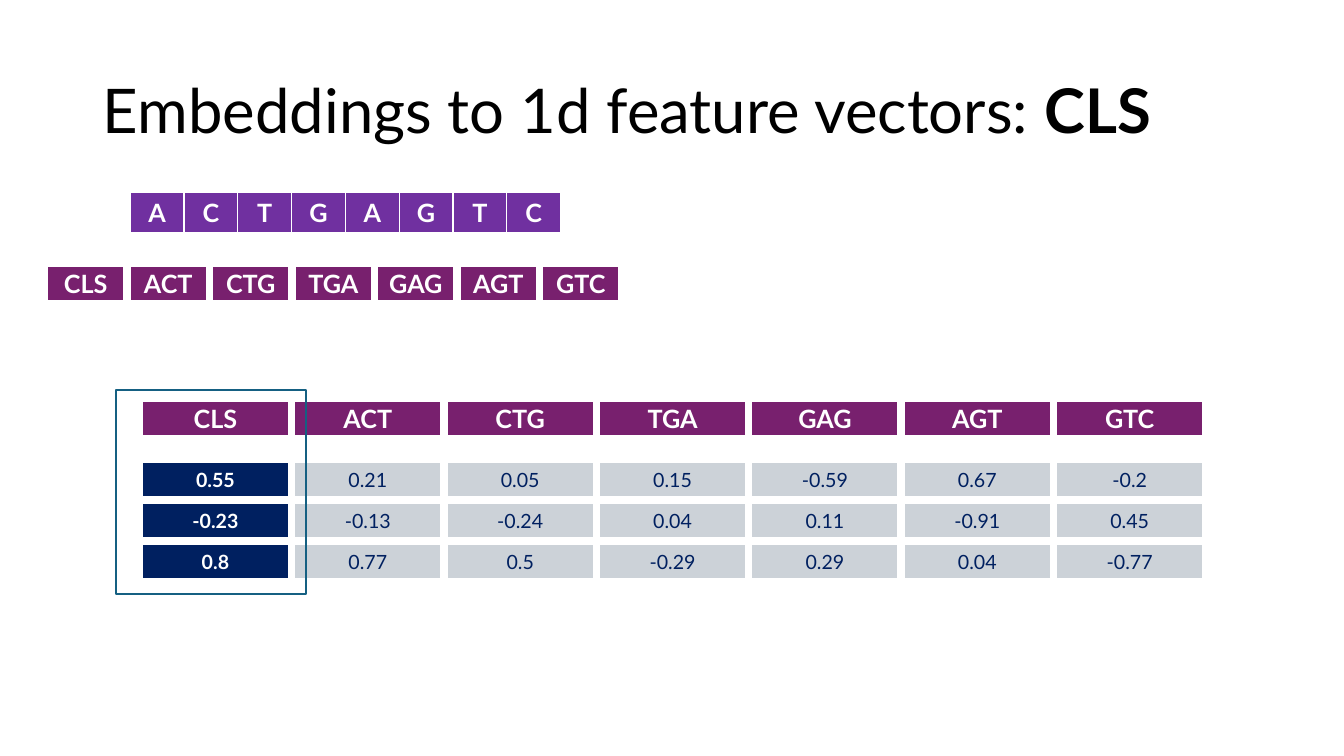
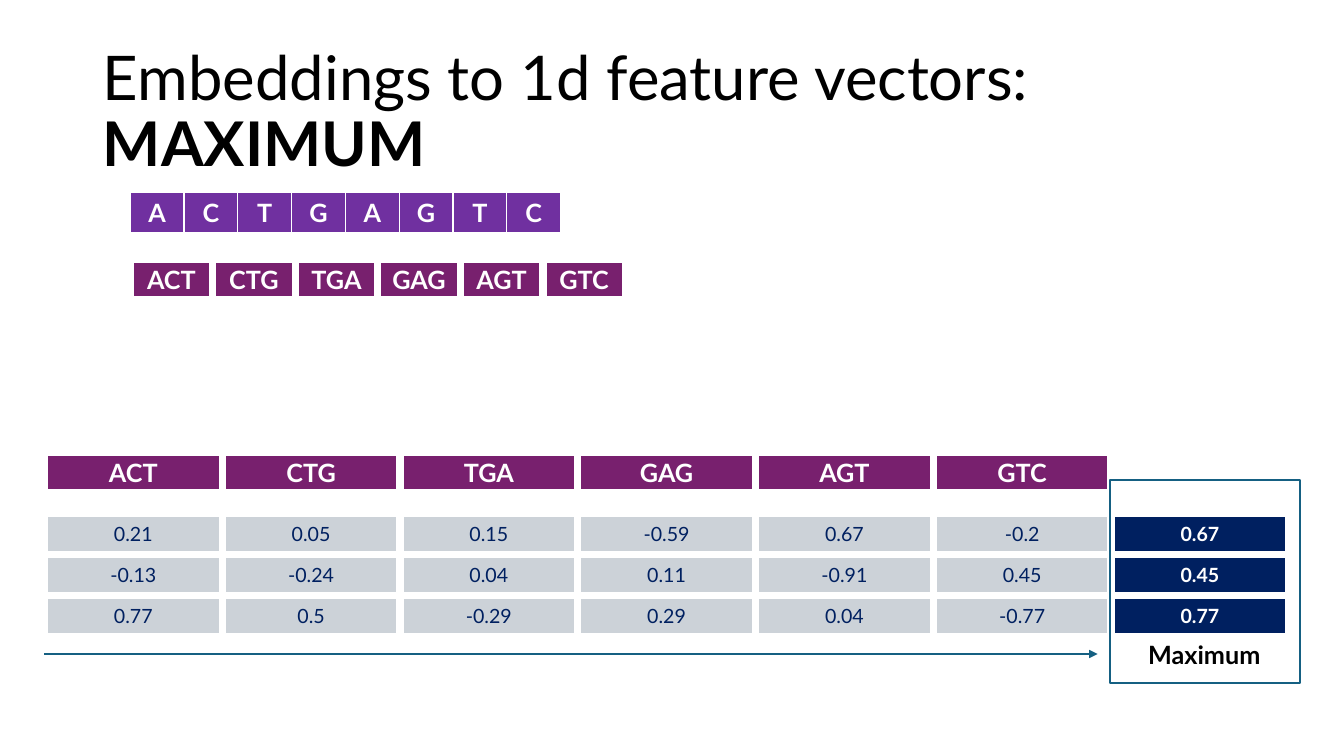
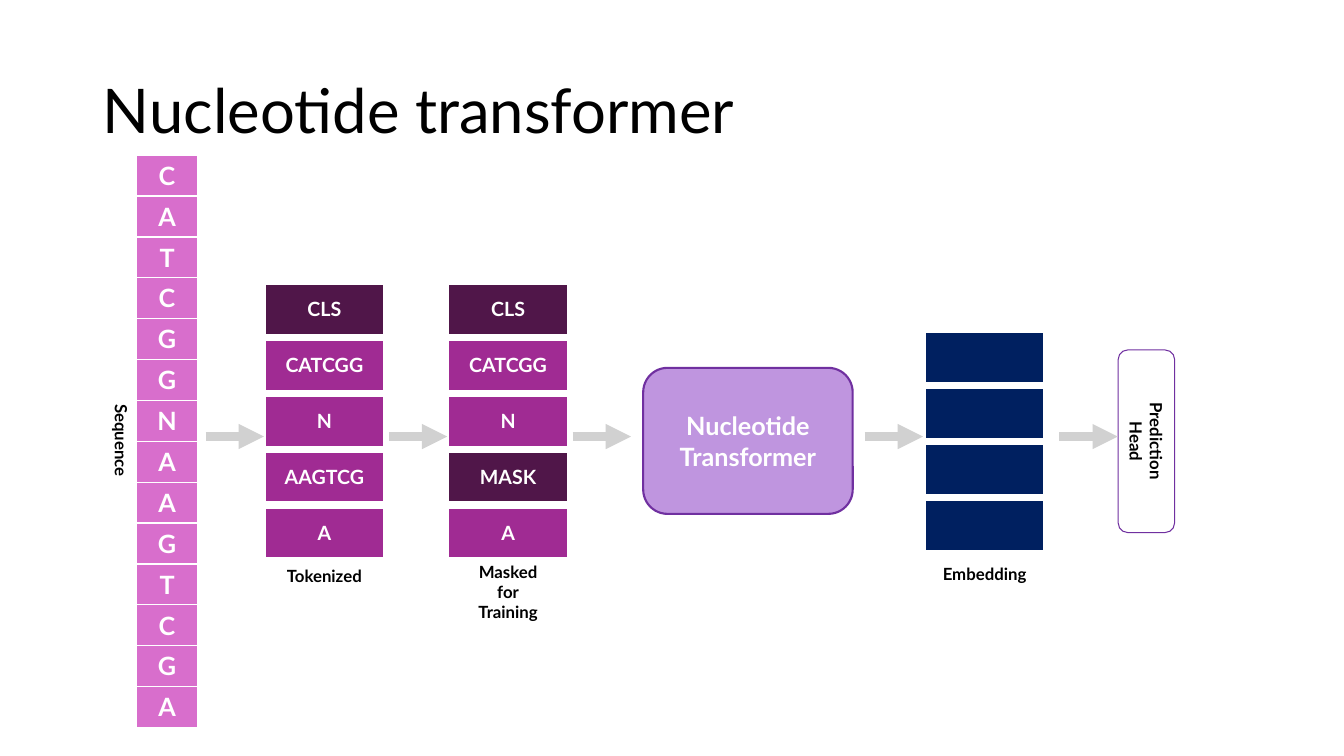
from collections import namedtuple

from lxml import etree
from pptx import Presentation
from pptx.dml.color import RGBColor
from pptx.enum.shapes import MSO_CONNECTOR, MSO_SHAPE
from pptx.enum.text import MSO_ANCHOR, MSO_AUTO_SIZE, PP_ALIGN
from pptx.oxml.ns import qn
from pptx.util import Cm, Pt

LEFT, CENTER = PP_ALIGN.LEFT, PP_ALIGN.CENTER
MIDDLE = MSO_ANCHOR.MIDDLE
FIT_NONE, FIT_SHAPE = MSO_AUTO_SIZE.NONE, MSO_AUTO_SIZE.SHAPE_TO_FIT_TEXT
RECTANGLE, ROUNDED = MSO_SHAPE.RECTANGLE, MSO_SHAPE.ROUNDED_RECTANGLE
STRAIGHT = MSO_CONNECTOR.STRAIGHT

FONT = "Lato"
COLORS = {
    "black": "000000",
    "white": "FFFFFF",
    "purple": "7030A0",
    "lilac": "BF95DF",
    "plum": "78206E",
    "pink": "D86ECC",
    "magenta": "A02B93",
    "aubergine": "501649",
    "navy": "002060",
    "pale": "CCD2D8",
    "teal": "156082",
    "grey": "D1D1D1",
}

CellStyle = namedtuple("CellStyle", "fill color size bold")
BASE = CellStyle("purple", "white", 18, True)
KMER = CellStyle("plum", "white", 18, True)
VALUE = CellStyle("pale", "navy", 14, False)
RESULT = CellStyle("navy", "white", 14, True)
NUCLEOTIDE = CellStyle("pink", "white", 18, True)
TOKEN = CellStyle("magenta", "white", 14, True)
SPECIAL = CellStyle("aubergine", "white", 14, True)

THIN, GAP = 1, 6  # white cell borders, in points

TITLE_BOX = (2.34, 1.02, 29.21, 3.68)
BASES_BOX = (3.28, 4.85, 10.85, 1.02)
ROW_HEIGHT = 1.02
KMER_WIDTH = 2.08
HIGHLIGHT_SIZE = (4.8, 5.13)

SEQUENCE = "ACTGAGTC"
KMERS = [SEQUENCE[start:start + 3] for start in range(len(SEQUENCE) - 2)]
CLS_VECTOR = (0.55, -0.23, 0.8)
VECTORS = [
    (0.21, -0.13, 0.77),
    (0.05, -0.24, 0.5),
    (0.15, 0.04, -0.29),
    (-0.59, 0.11, 0.29),
    (0.67, -0.91, 0.04),
    (-0.2, 0.45, -0.77),
]

LONG_SEQUENCE = "CATCGGNAAGTCGA"
TOKENS = ["CLS", "CATCGG", "N", "AAGTCG", "A"]
MASKED_TOKENS = ["CLS", "CATCGG", "N", "MASK", "A"]


def rgb(name):
    return RGBColor.from_string(COLORS[name])


def cm_box(box):
    return [Cm(length) for length in box]


def style_font(paragraph, size, color, bold):
    font = paragraph.font
    font.name, font.size, font.bold = FONT, Pt(size), bold
    font.color.rgb = rgb(color)


def write_lines(text_frame, lines, size, color):
    """Write centred bold paragraphs, one for each line."""
    for index, line in enumerate(lines):
        paragraph = text_frame.add_paragraph() if index else text_frame.paragraphs[0]
        paragraph.text = line
        paragraph.alignment = CENTER
        style_font(paragraph, size, color, True)


def add_titled_slide(presentation, text, emphasis=""):
    slide = presentation.slides.add_slide(presentation.slide_layouts[5])
    title = slide.shapes.title
    title.left, title.top, title.width, title.height = cm_box(TITLE_BOX)
    frame = title.text_frame
    frame.auto_size, frame.vertical_anchor = FIT_NONE, MIDDLE
    paragraph = frame.paragraphs[0]
    paragraph.alignment, paragraph.line_spacing = LEFT, 0.9
    style_font(paragraph, 44, "black", False)
    paragraph.add_run().text = text
    if emphasis:
        run = paragraph.add_run()
        run.text, run.font.bold = emphasis, True
    return slide


def add_cell_borders(cell, width):
    properties = cell._tc.get_or_add_tcPr()
    for side in ("lnL", "lnR", "lnT", "lnB"):
        line = etree.SubElement(properties, qn(f"a:{side}"), w=str(Pt(width)))
        fill = etree.SubElement(line, qn("a:solidFill"))
        etree.SubElement(fill, qn("a:srgbClr"), val=COLORS["white"])


def add_grid(slide, box, rows, border):
    """Fill the box with equal cells; rows hold (text, CellStyle) pairs."""
    left, top, width, height = cm_box(box)
    table = slide.shapes.add_table(len(rows), len(rows[0]), left, top, width, height).table
    table.first_row = table.horz_banding = False
    for column in table.columns:
        column.width = width // len(rows[0])
    for row, cells in zip(table.rows, rows):
        row.height = height // len(rows)
        for cell, (text, style) in zip(row.cells, cells):
            add_cell_borders(cell, border)
            cell.fill.solid()
            cell.fill.fore_color.rgb = rgb(style.fill)
            cell.vertical_anchor = MIDDLE
            paragraph = cell.text_frame.paragraphs[0]
            paragraph.text, paragraph.alignment = text, CENTER
            style_font(paragraph, style.size, style.color, style.bold)


def add_row(slide, box, texts, style, border=GAP):
    add_grid(slide, box, [[(text, style) for text in texts]], border)


def add_stack(slide, box, texts, style, border=GAP):
    special = ("CLS", "MASK")
    rows = [[(text, SPECIAL if text in special else style)] for text in texts]
    add_grid(slide, box, rows, border)


def add_frame(slide, box, shape_type, line, line_width, fill=None):
    shape = slide.shapes.add_shape(shape_type, *cm_box(box))
    shape.shadow.inherit = False
    if fill:
        shape.fill.solid()
        shape.fill.fore_color.rgb = rgb(fill)
    else:
        shape.fill.background()
    shape.line.color.rgb, shape.line.width = rgb(line), Pt(line_width)
    return shape


def add_highlight(slide, left, top):
    add_frame(slide, (left, top, *HIGHLIGHT_SIZE), RECTANGLE, "teal", 1.5)


def add_arrow(slide, left, top, length, color, width):
    arrow = slide.shapes.add_connector(STRAIGHT, *cm_box((left, top, left + length, top)))
    arrow.line.color.rgb, arrow.line.width = rgb(color), Pt(width)
    etree.SubElement(arrow.line._get_or_add_ln(), qn("a:tailEnd"), type="triangle")
    etree.SubElement(arrow._element.spPr, qn("a:effectLst"))


def add_label(slide, box, lines, size=12, rotation=0):
    label = slide.shapes.add_textbox(*cm_box(box))
    label.rotation = rotation
    label.text_frame.word_wrap = False
    label.text_frame.auto_size = FIT_SHAPE
    write_lines(label.text_frame, lines, size, "black")


def add_sequence(slide, tokens, left, top):
    """Draw the bases, and below them the row of tokens at the given corner."""
    add_row(slide, BASES_BOX, SEQUENCE, BASE, THIN)
    add_row(slide, (left, top, KMER_WIDTH * len(tokens), ROW_HEIGHT), tokens, KMER)


def add_embeddings(slide, left, top, column_width, tokens, vectors, result_column):
    """Draw a token header over one column of values for each vector."""
    add_row(slide, (left, top, column_width * len(tokens), ROW_HEIGHT), tokens, KMER)
    rows = [
        [(f"{value:g}", RESULT if column == result_column else VALUE)
         for column, value in enumerate(values)]
        for values in zip(*vectors)
    ]
    box = (left, top + 1.54, column_width * len(vectors), 3.1)
    add_grid(slide, box, rows, GAP)


def add_pipeline(slide, left, top):
    """Draw the path from sequence to prediction head, from its top left corner."""
    def place(x, y, width, height):
        return left + x, top + y, width, height

    add_label(slide, place(-1.62, 6.81, 2.46, 0.76), ["Sequence"], rotation=90)
    add_stack(slide, place(0, 0, 1.52, 14.42), LONG_SEQUENCE, NUCLEOTIDE, THIN)

    stacks = [
        (3.15, 3.18, TOKENS, TOKEN, ["Tokenized"], 0),
        (7.78, 3.18, MASKED_TOKENS, TOKEN, ["Masked", "for", "Training"], -0.12),
        (19.79, 4.4, [""] * 4, RESULT, ["Embedding"], 0.12),
    ]
    for x, y, texts, style, caption, shift in stacks:
        height = 1.41 * len(texts)
        add_stack(slide, place(x, y, 3.15, height), texts, style)
        caption_box = place(x, y + height + shift, 3.15, 0.25 + 0.51 * len(caption))
        add_label(slide, caption_box, caption)

    model = add_frame(slide, place(12.76, 5.36, 5.28, 3.68), ROUNDED, "purple", 1.5, "lilac")
    write_lines(model.text_frame, ["Nucleotide", "Transformer"], 18, "white")
    head = add_frame(slide, place(23.14, 6.5, 4.6, 1.42), ROUNDED, "purple", 0.75)
    head.rotation = 90
    write_lines(head.text_frame, ["Prediction", "Head"], 12, "black")

    for x in (1.73, 6.35, 10.98, 18.34, 23.25):
        add_arrow(slide, left + x, top + 7.09, 1.47, "grey", 6)


def build_cls_slide(presentation):
    slide = add_titled_slide(presentation, "Embeddings to 1d feature vectors: ", "CLS")
    tokens = ["CLS", *KMERS]
    add_sequence(slide, tokens, 1.12, 6.63)
    add_embeddings(slide, 3.51, 10.03, 3.84, tokens, [CLS_VECTOR, *VECTORS], 0)
    add_highlight(slide, 2.92, 9.83)


def build_maximum_slide(presentation):
    slide = add_titled_slide(presentation, "Embeddings to 1d feature vectors: ", "MAXIMUM")
    add_sequence(slide, KMERS, 3.28, 6.53)
    maximum = [max(values) for values in zip(*VECTORS)]
    add_embeddings(slide, 1.12, 11.4, 4.48, KMERS, [*VECTORS, maximum], len(VECTORS))
    add_arrow(slide, 1.12, 16.48, 26.54, "teal", 1.5)
    add_highlight(slide, 27.97, 12.09)
    add_label(slide, (28.65, 15.98, 3.4, 1.02), ["Maximum"], 18)


def build_transformer_slide(presentation):
    slide = add_titled_slide(presentation, "Nucleotide transformer")
    add_pipeline(slide, 3.45, 3.91)


def main():
    presentation = Presentation()
    presentation.slide_width, presentation.slide_height = Cm(33.87), Cm(19.05)
    build_cls_slide(presentation)
    build_maximum_slide(presentation)
    build_transformer_slide(presentation)
    presentation.save("out.pptx")


if __name__ == "__main__":
    main()
